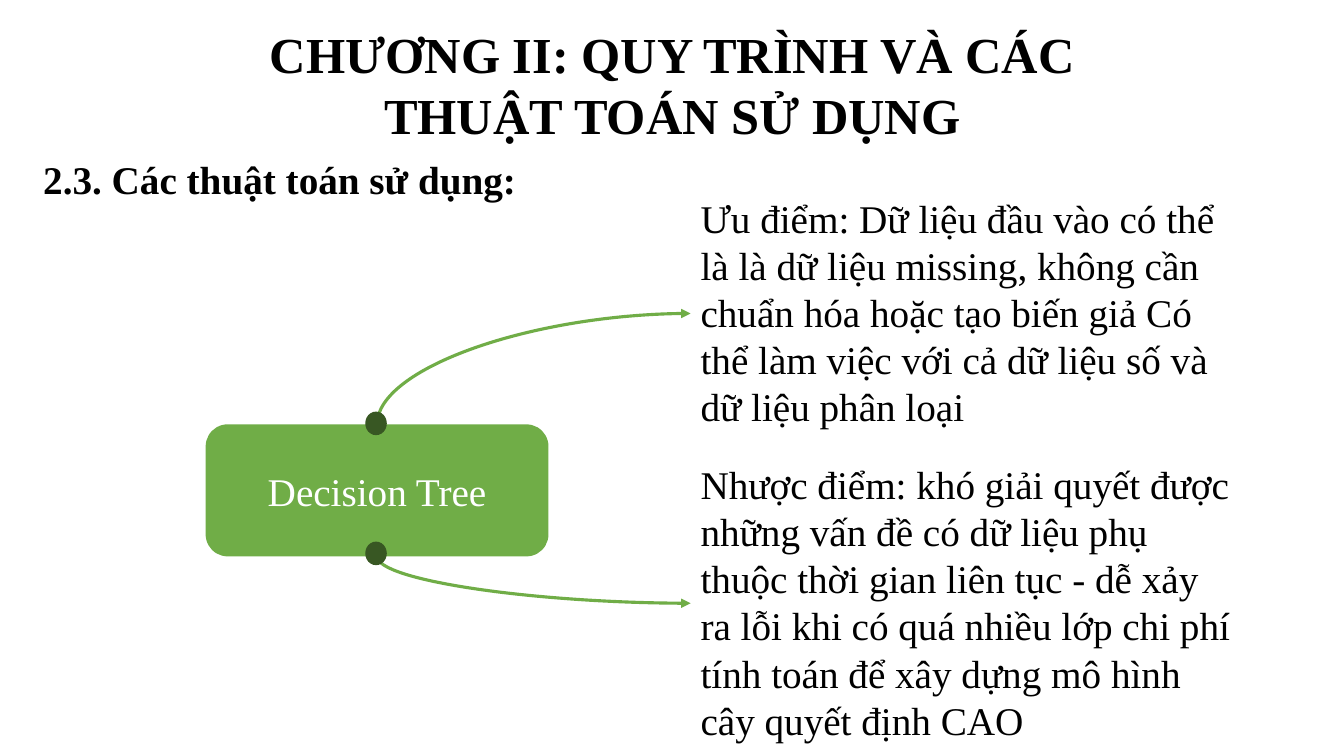
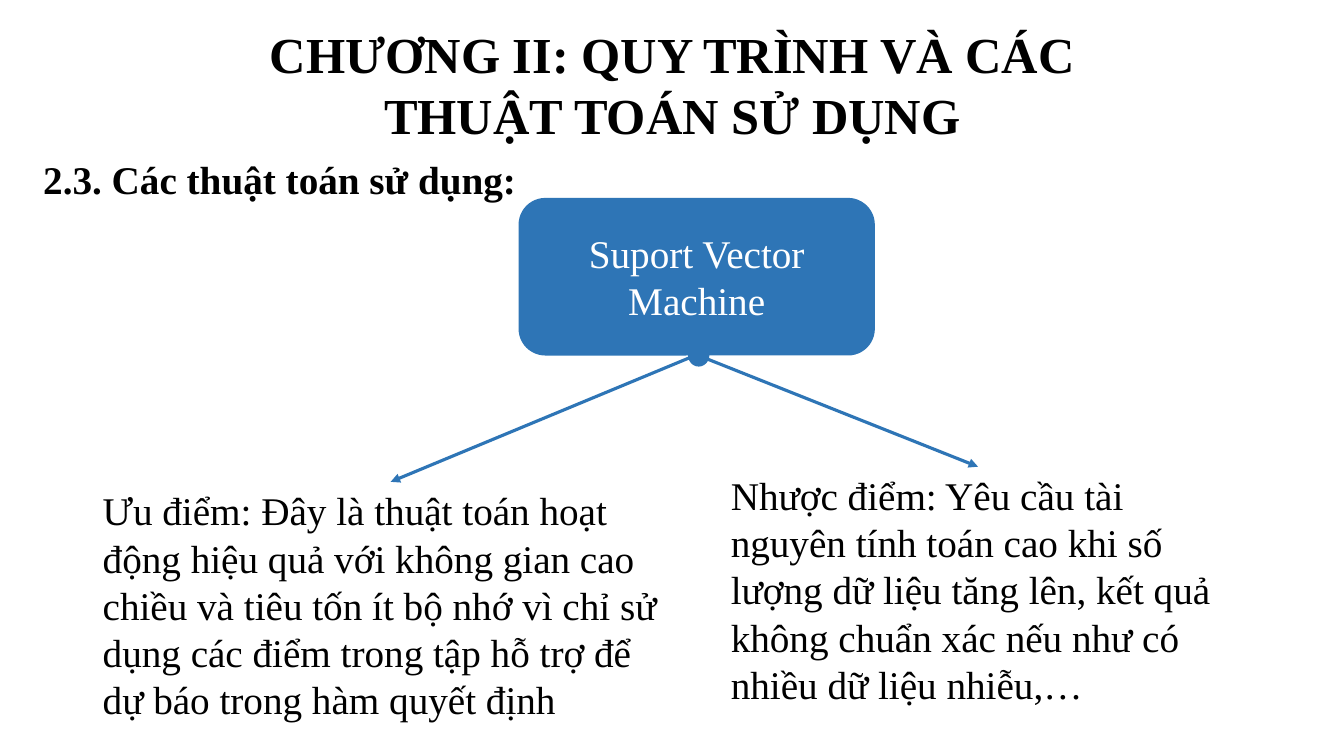
"""Build two slides that set out the strengths and weaknesses of two algorithms."""
from collections import namedtuple

from lxml.etree import SubElement
from pptx import Presentation
from pptx.dml.color import RGBColor
from pptx.enum.shapes import MSO_CONNECTOR as CONN, MSO_SHAPE as SHAPE
from pptx.enum.text import MSO_ANCHOR as ANCHOR, MSO_AUTO_SIZE as AUTO, PP_ALIGN as ALIGN
from pptx.oxml.ns import qn
from pptx.util import Inches, Pt

Theme = namedtuple("Theme", "font title body line edge black white green dark_green blue")
T = Theme("Times New Roman", Pt(36), Pt(28), Pt(2.25), Pt(1), *map(
    RGBColor.from_string, ["000000", "FFFFFF", "70AD47", "385723", "2E75B6"]))
TITLE = "CHƯƠNG II: QUY TRÌNH VÀ CÁC THUẬT TOÁN SỬ DỤNG"
SECTION = "2.3. Các thuật toán sử dụng:"
TOP, LEFT, BOTTOM = 0, 1, 2

SLIDES = [
    dict(
        name="Decision Tree", box=(2.04, 4.21, 3.4, 1.31),
        fill=T.green, dot_fill=T.dark_green, edge=None,
        dots=[(3.63, 4.09), (3.63, 5.38)], curved=True,
        notes=[
            ("Ưu điểm: Dữ liệu đầu vào có thể là là dữ liệu missing, không cần chuẩn hóa "
             "hoặc tạo biến giả Có thể làm việc với cả dữ liệu số và dữ liệu phân loại",
             (6.85, 1.88, 5.45, 2.46), LEFT, TOP),
            ("Nhược điểm: khó giải quyết được những vấn đề có dữ liệu phụ thuộc thời gian "
             "liên tục - dễ xảy ra lỗi khi có quá nhiều lớp chi phí tính toán để xây dựng "
             "mô hình cây quyết định CAO",
             (6.85, 4.52, 5.45, 2.93), LEFT, BOTTOM),
        ],
    ),
    dict(
        name="Suport Vector Machine", box=(5.15, 1.97, 3.52, 1.55),
        fill=T.blue, dot_fill=T.blue, edge=T.blue,
        dots=[(6.83, 3.41)], curved=False,
        notes=[
            ("Ưu điểm: Đây là thuật toán hoạt động hiệu quả với không gian cao chiều và "
             "tiêu tốn ít bộ nhớ vì chỉ sử dụng các điểm trong tập hỗ trợ để dự báo trong "
             "hàm quyết định",
             (0.92, 4.78, 5.91, 2.46), TOP, BOTTOM),
            ("Nhược điểm: Yêu cầu tài nguyên tính toán cao khi số lượng dữ liệu tăng lên, "
             "kết quả không chuẩn xác nếu như có nhiều dữ liệu nhiễu,…",
             (7.15, 4.63, 5.1, 2.46), TOP, BOTTOM),
        ],
    ),
]


def write(sp, text, size=T.body, color=T.black, bold=False, align=ALIGN.LEFT,
          anchor=ANCHOR.TOP, wrap=True, auto=AUTO.SHAPE_TO_FIT_TEXT):
    tf = sp.text_frame
    tf.word_wrap, tf.auto_size, tf.vertical_anchor = wrap, auto, anchor
    p = tf.paragraphs[0]
    p.alignment = align
    r = p.add_run()
    r.text = text
    r.font.name, r.font.size, r.font.bold = T.font, size, bold
    r.font.color.rgb = color


def add_solid(s, kind, at, fill, edge):
    sp = s.shapes.add_shape(kind, *map(Inches, at))
    sp.shadow.inherit = False
    sp.fill.solid()
    sp.fill.fore_color.rgb = fill
    if edge is None:
        sp.line.fill.background()
    else:
        sp.line.color.rgb, sp.line.width = edge, T.edge
    return sp


prs = Presentation()
prs.slide_width, prs.slide_height = Inches(13.33), Inches(7.5)

for data in SLIDES:
    s = prs.slides.add_slide(prs.slide_layouts[5])
    title = s.shapes.title
    title.left, title.top, title.width, title.height = map(Inches, (1.83, 0.18, 9.68, 1.31))
    write(title, TITLE, T.title, bold=True, align=ALIGN.CENTER)
    section = s.shapes.add_textbox(*map(Inches, (0.33, 1.49, 4.95, 0.57)))
    write(section, SECTION, bold=True, wrap=False)

    box = add_solid(s, SHAPE.ROUNDED_RECTANGLE, data["box"], data["fill"], data["edge"])
    write(box, data["name"], color=T.white, align=ALIGN.CENTER,
          anchor=ANCHOR.MIDDLE, auto=AUTO.NONE)

    for text, at, note_side, box_side in data["notes"]:
        note = s.shapes.add_textbox(*map(Inches, at))
        write(note, text)
        kind = CONN.CURVE if data["curved"] else CONN.STRAIGHT
        arrow = s.shapes.add_connector(kind, 0, 0, 0, 0)
        arrow.begin_connect(note, note_side)
        arrow.end_connect(box, box_side)
        arrow.line.color.rgb, arrow.line.width = data["fill"], T.line
        SubElement(arrow.line._get_or_add_ln(), qn("a:headEnd"), type="triangle")
        props = arrow._element.spPr
        SubElement(props, qn("a:effectLst"))
        if data["curved"]:
            props.find(qn("a:prstGeom")).set("prst", "curvedConnector2")

    for x, y in data["dots"]:
        add_solid(s, SHAPE.FLOWCHART_CONNECTOR, (x, y, 0.2, 0.22),
                  data["dot_fill"], data["dot_fill"])

prs.save("out.pptx")
